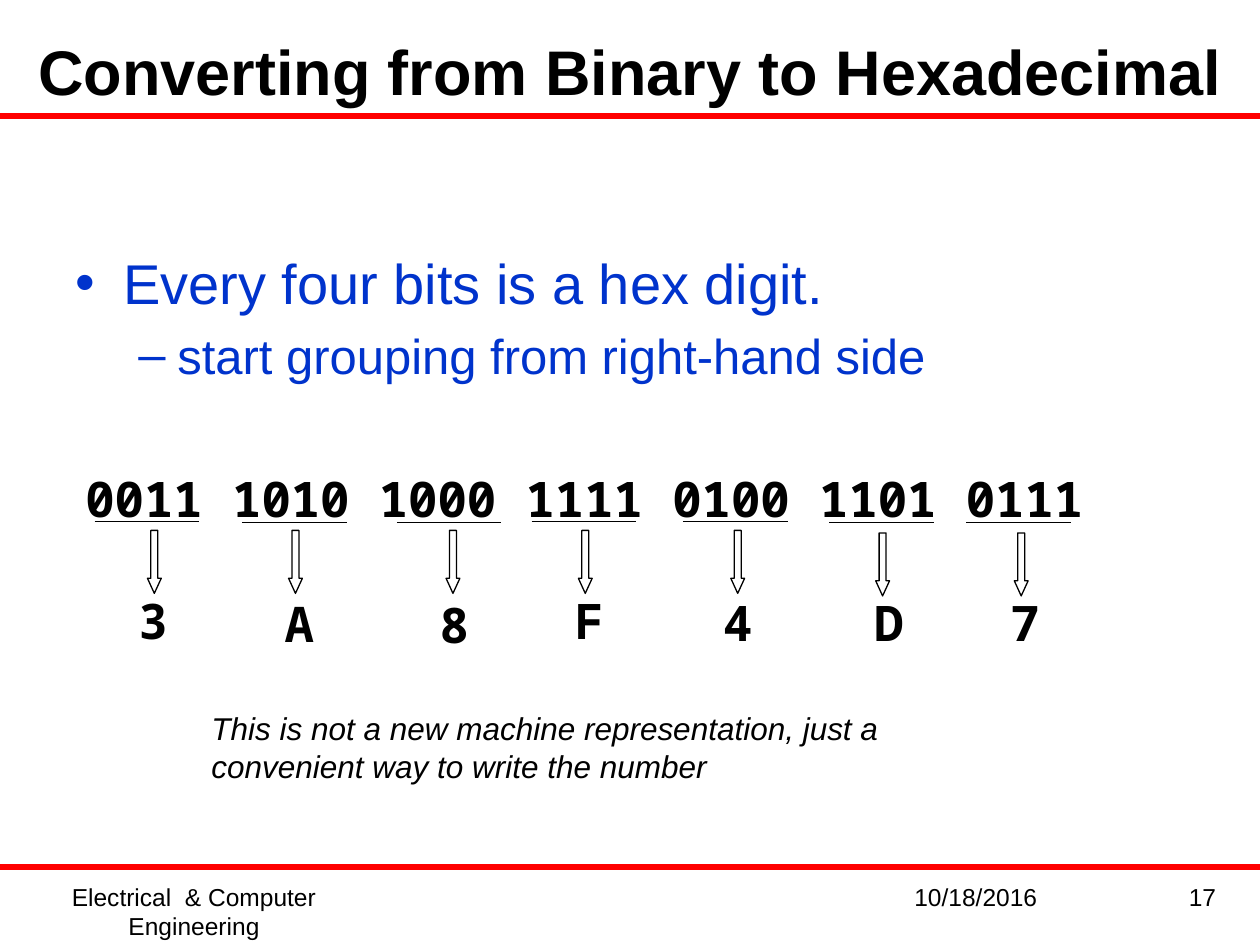
import pptx
import pptx.util
import pptx.dml.color
import pptx.enum.shapes
import pptx.enum.text
import pptx.oxml
import pptx.oxml.ns
import lxml.etree

Inches = pptx.util.Inches
Pt = pptx.util.Pt
ALIGN = pptx.enum.text.PP_ALIGN
qn = pptx.oxml.ns.qn
MONO = "Noto Sans Mono"


def rgb(value):
    return pptx.dml.color.RGBColor.from_string(value)


def add_run(p, text, size, font="Arial", color="000000", bold=False, italic=False):
    r = p.add_run()
    r.text = text
    r.font.size = Pt(size)
    r.font.name = font
    r.font.color.rgb = rgb(color)
    r.font.bold = bold
    r.font.italic = italic


def add_box(s, x, y, w, h, grow=False):
    tf = s.shapes.add_textbox(Inches(x), Inches(y), Inches(w), Inches(h)).text_frame
    tf.word_wrap = True
    if grow:
        tf.auto_size = pptx.enum.text.MSO_AUTO_SIZE.SHAPE_TO_FIT_TEXT
    return tf


def add_label(s, x, y, w, h, text, size, align=ALIGN.LEFT, grow=False, **style):
    p = add_box(s, x, y, w, h, grow).paragraphs[0]
    p.alignment = align
    add_run(p, text, size, **style)
    return p


def add_line(s, x, y, w, color, width):
    line = s.shapes.add_connector(
        pptx.enum.shapes.MSO_CONNECTOR.STRAIGHT,
        Inches(x), Inches(y), Inches(x + w), Inches(y))
    line.line.color.rgb = rgb(color)
    line.line.width = Pt(width)
    lxml.etree.SubElement(line._element.spPr, qn("a:effectLst"))


def add_title(s, x, y, w, h, text):
    sp = s.shapes.title
    sp.left, sp.top, sp.width, sp.height = map(Inches, (x, y, w, h))
    tf = sp.text_frame
    tf.auto_size = pptx.enum.text.MSO_AUTO_SIZE.NONE
    tf.vertical_anchor = pptx.enum.text.MSO_ANCHOR.MIDDLE
    p = tf.paragraphs[0]
    p.alignment = ALIGN.CENTER
    add_run(p, text, 36, bold=True)


def add_bullets(s, x, y, w, h, items):
    tf = add_box(s, x, y, w, h)
    for i, (text, level, size, mark, margin, hang) in enumerate(items):
        p = tf.add_paragraph() if i else tf.paragraphs[0]
        p.level = level
        p.space_before = Pt(size * 0.2)
        pPr = p._p.get_or_add_pPr()
        pPr.set("marL", str(Inches(margin)))
        pPr.set("indent", str(Inches(-hang)))
        lxml.etree.SubElement(pPr, qn("a:buFont"), typeface="Arial")
        lxml.etree.SubElement(pPr, qn("a:buChar"), char=mark)
        add_run(p, text, size, color="0033CC")


def add_binary(s, x, y, w, h, text):
    p = add_label(s, x, y, w, h, text, 28, grow=True, font=MONO, bold=True)
    tabs = lxml.etree.SubElement(p._p.get_or_add_pPr(), qn("a:tabLst"))
    for pos, align in ((7.13, "r"), (7.37, "l")):
        lxml.etree.SubElement(tabs, qn("a:tab"), pos=str(Inches(pos)), algn=align)


def add_hex_digit(s, x, y, digit, line_dy, arrow_dx, arrow_dy, digit_dx, digit_dy):
    add_line(s, x, y + line_dy, 0.83, "000000", 0.75)
    add_label(s, x + digit_dx, y + digit_dy, 1.08, 0.57, digit, 28,
              grow=True, font=MONO, bold=True)
    arrow = s.shapes.add_shape(
        pptx.enum.shapes.MSO_SHAPE.DOWN_ARROW,
        Inches(x + arrow_dx), Inches(y + arrow_dy), Inches(0.11), Inches(0.5))
    arrow.adjustments[0] = 0.5
    arrow.adjustments[1] = 1.09
    arrow.shadow.inherit = False
    arrow.fill.background()
    arrow.line.color.rgb = rgb("000000")
    arrow.line.width = Pt(0.75)


def add_footer(s, x, y, h):
    for dx, w, text, align in (
            (0, 2.58, "Electrical  & Computer Engineering", ALIGN.CENTER),
            (6.33, 2.33, "10/18/2016", ALIGN.CENTER),
            (8.92, 0.58, "17", ALIGN.RIGHT)):
        add_label(s, x + dx, y, w, h, text, 14, align)


prs = pptx.Presentation()
prs.slide_width = Inches(10)
prs.slide_height = Inches(7.5)
s = prs.slides.add_slide(prs.slide_layouts[5])

for rule_y in (0.92, 6.88):
    add_line(s, 0, rule_y, 10, "FF0000", 3.5)
add_title(s, 0, 0.25, 10, 0.62, "Converting from Binary to Hexadecimal")
add_bullets(s, 0.5, 1.92, 9.5, 1.13, (
    ("Every four bits is a hex digit.", 0, 32, "\u2022", 0.38, 0.38),
    ("start grouping from right-hand side", 1, 28, "\u2013", 0.81, 0.31)))
add_binary(s, 0.58, 3.67, 8.67, 0.57, "0011\t 1010 1000 1111 0100 1101 0111")
for x, *digit in (
        (0.75, "3", 0, 0.42, 0.07, 0.25, 0.5),
        (1.92, "A", 0.01, 0.37, 0.07, 0.24, 0.52),
        (3.15, "8", 0.01, 0.39, 0.07, 0.24, 0.53),
        (4.22, "F", 0, 0.37, 0.07, 0.24, 0.5),
        (5.42, "4", 0, 0.38, 0.07, 0.22, 0.51),
        (6.58, "D", 0.01, 0.37, 0.09, 0.26, 0.51),
        (7.67, "7", 0.01, 0.38, 0.09, 0.25, 0.51)):
    add_hex_digit(s, x, 4.14, *digit)
add_label(s, 1.58, 5.58, 6.67, 0.71,
          "This is not a new machine representation, just a "
          "convenient way to write the number", 18, grow=True, italic=True)
add_footer(s, 0.25, 6.95, 0.52)

prs.save("out.pptx")
